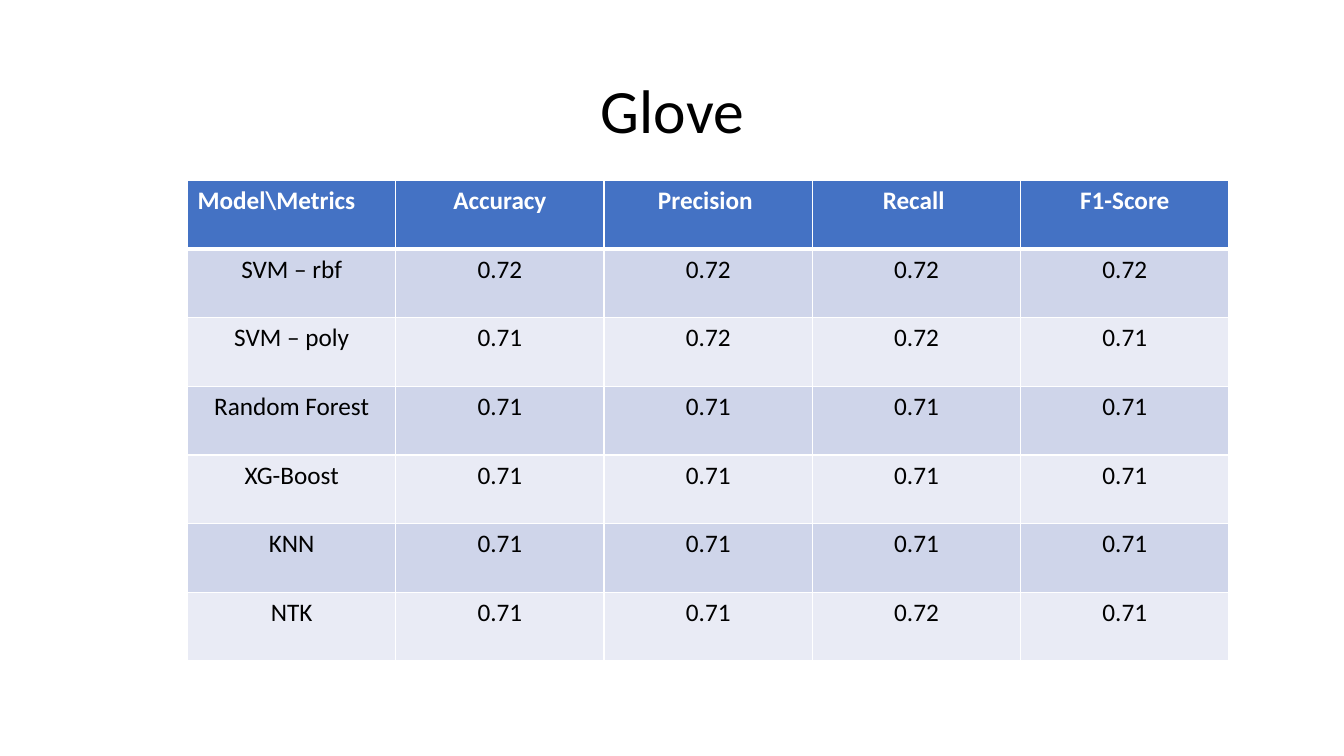
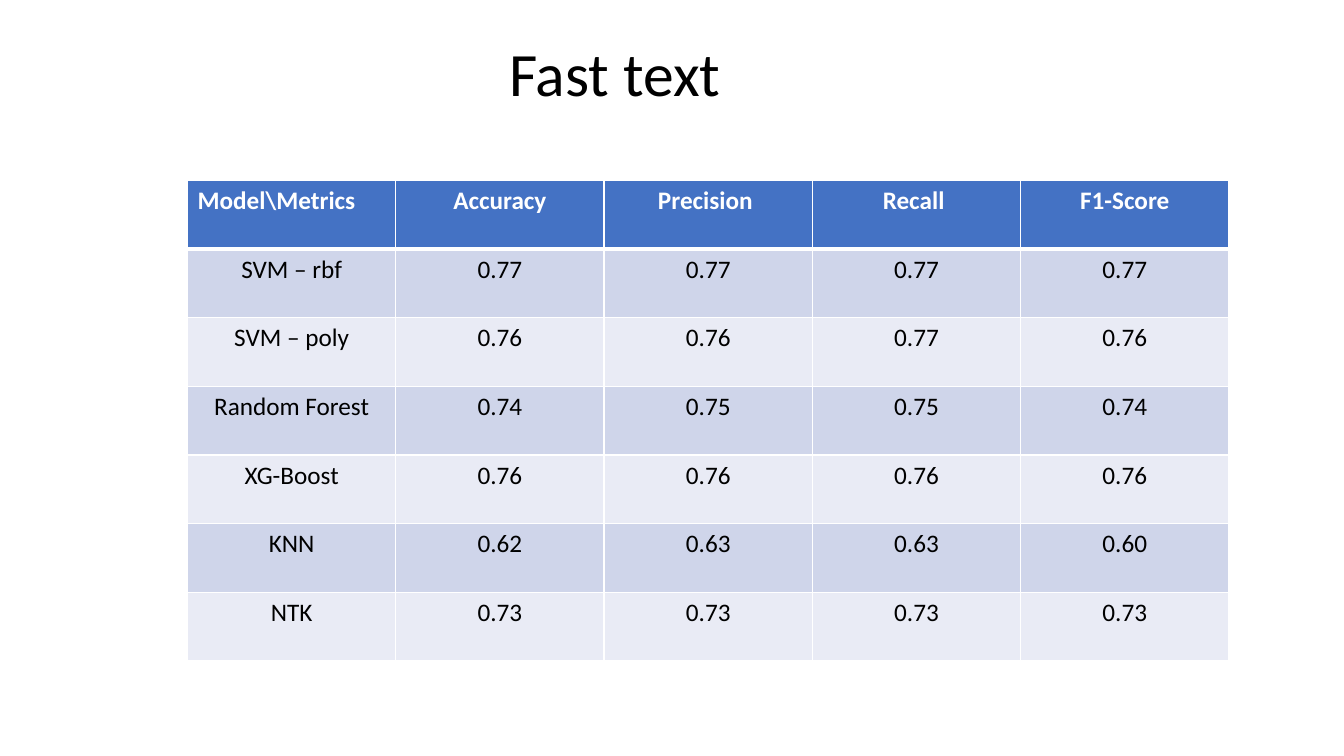
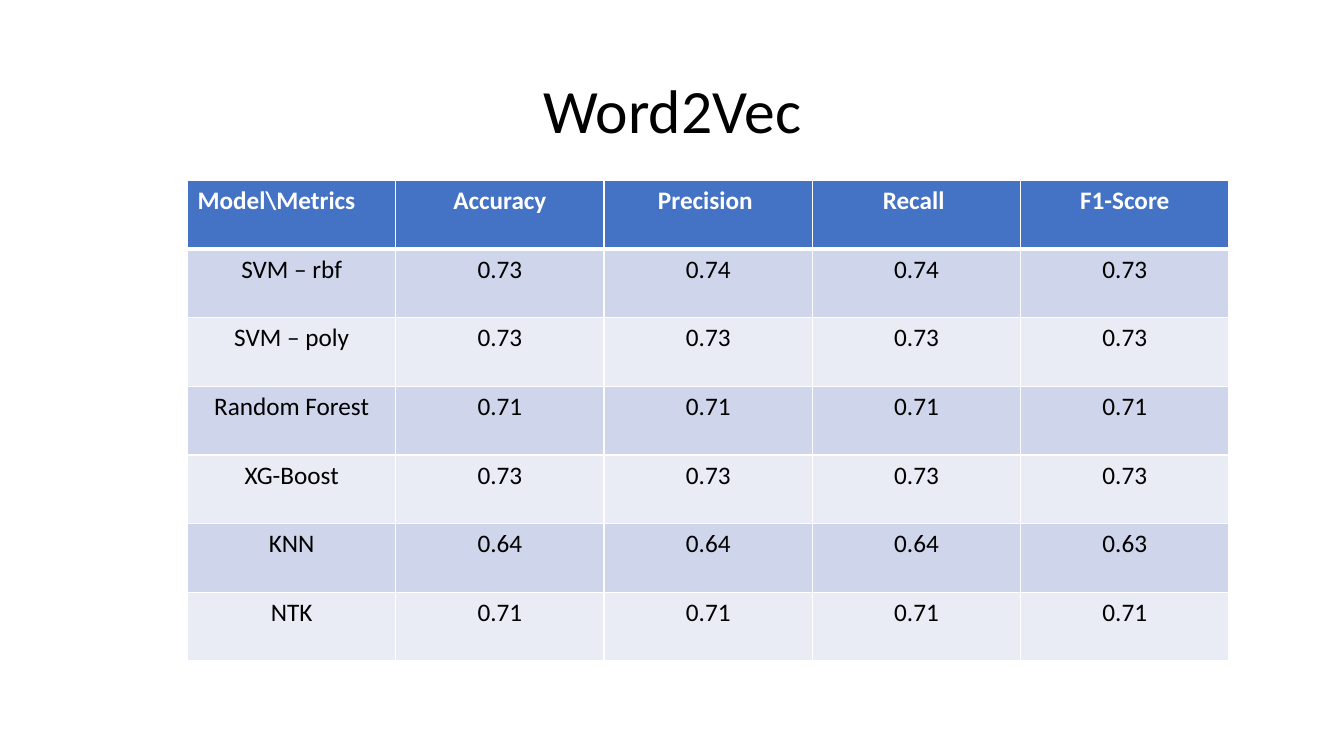
from lxml import etree
from pptx import Presentation
from pptx.dml.color import RGBColor
from pptx.enum.text import MSO_ANCHOR, PP_ALIGN
from pptx.oxml.ns import qn
from pptx.util import Inches, Pt

LEFT, CENTER = PP_ALIGN.LEFT, PP_ALIGN.CENTER
MIDDLE = MSO_ANCHOR.MIDDLE

WHITE, BLACK, BLUE = "FFFFFF", "000000", "4472C4"
BANDS = ["E9EBF5", "CFD5EA"]
HEADS = ["Model\\Metrics", "Accuracy", "Precision ", "Recall ", "F1-Score"]
MODELS = ["SVM – rbf", "SVM – poly", "Random Forest", "XG-Boost", "KNN", "NTK"]
HIGH, LOW = (0.92, 0.4, 11.5, 1.45), (0.35, 0.23, 11.5, 1.05)

SLIDES = [
    ("Glove", HIGH, [
        (0.72, 0.72, 0.72, 0.72),
        (0.71, 0.72, 0.72, 0.71),
        (0.71, 0.71, 0.71, 0.71),
        (0.71, 0.71, 0.71, 0.71),
        (0.71, 0.71, 0.71, 0.71),
        (0.71, 0.71, 0.72, 0.71),
    ]),
    ("Fast text", LOW, [
        (0.77, 0.77, 0.77, 0.77),
        (0.76, 0.76, 0.77, 0.76),
        (0.74, 0.75, 0.75, 0.74),
        (0.76, 0.76, 0.76, 0.76),
        (0.62, 0.63, 0.63, 0.60),
        (0.73, 0.73, 0.73, 0.73),
    ]),
    ("Word2Vec", HIGH, [
        (0.73, 0.74, 0.74, 0.73),
        (0.73, 0.73, 0.73, 0.73),
        (0.71, 0.71, 0.71, 0.71),
        (0.73, 0.73, 0.73, 0.73),
        (0.64, 0.64, 0.64, 0.63),
        (0.71, 0.71, 0.71, 0.71),
    ]),
]


def style(para, text, align, size, color, bold):
    para.text = text
    para.alignment = align
    font = para.runs[0].font
    look = {"name": "Calibri", "size": Pt(size), "bold": bold}
    for key, value in look.items():
        setattr(font, key, value)
    font.color.rgb = RGBColor.from_string(color)


def border(cell, sides):
    props = cell._tc.get_or_add_tcPr()
    for side, width in sides.items():
        line = etree.SubElement(props, qn("a:ln" + side), w=str(Pt(width)))
        fill = etree.SubElement(line, qn("a:solidFill"))
        etree.SubElement(fill, qn("a:srgbClr"), val=WHITE)


deck = Presentation()
deck.slide_width, deck.slide_height = Inches(13.33), Inches(7.5)

for name, box, scores in SLIDES:
    slide = deck.slides.add_slide(deck.slide_layouts[5])
    title = slide.shapes.title
    for side, value in zip(("left", "top", "width", "height"), box):
        setattr(title, side, Inches(value))
    title.text_frame.vertical_anchor = MIDDLE
    para = title.text_frame.paragraphs[0]
    style(para, name, CENTER, 44, BLACK, False)
    para.line_spacing = 0.9

    rows = [HEADS]
    for model, marks in zip(MODELS, scores):
        rows.append([model] + [f"{mark:.2f}" for mark in marks])
    table = slide.shapes.add_table(
        len(rows), len(HEADS),
        Inches(1.86), Inches(1.79), Inches(10.33), Inches(4.77)).table
    for r, row in enumerate(rows):
        head = r == 0
        for c, text in enumerate(row):
            cell = table.cell(r, c)
            border(cell, {"L": 1, "R": 1, "T": 3 if r == 1 else 1,
                          "B": 3 if head else 1})
            cell.fill.solid()
            shade = BLUE if head else BANDS[r % 2]
            cell.fill.fore_color.rgb = RGBColor.from_string(shade)
            style(cell.text_frame.paragraphs[0], text,
                  LEFT if head and c == 0 else CENTER,
                  18, WHITE if head else BLACK, head)

deck.save("out.pptx")
